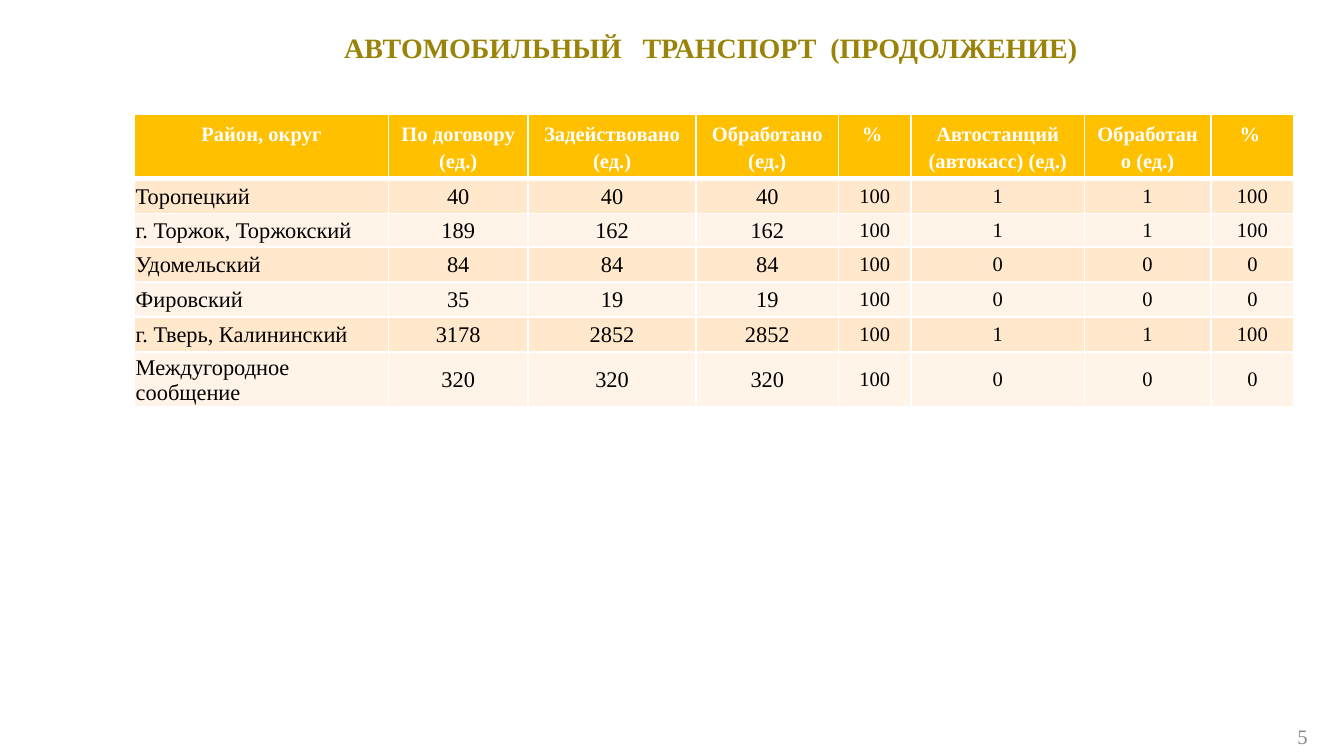
"""Build the slide with the road transport table."""
from lxml.etree import SubElement
from pptx import Presentation
from pptx.dml.color import RGBColor
from pptx.enum.text import MSO_ANCHOR as Anchor, MSO_AUTO_SIZE as Fit, PP_ALIGN as Align
from pptx.oxml.ns import qn
from pptx.util import Inches, Pt

FONT = "Times New Roman"
TITLE = "АВТОМОБИЛЬНЫЙ   ТРАНСПОРТ  (ПРОДОЛЖЕНИЕ)"
HEADS = ["Район, округ", "По договору (ед.)", "Задействовано\n(ед.)", "Обработано\n(ед.)",
         "% ", "Автостанций (автокасс) (ед.)", "Обработано (ед.)", "% "]
ROWS = [
    ("Торопецкий", 40, 40, 40, 100, 1, 1, 100),
    ("г. Торжок, Торжокский", 189, 162, 162, 100, 1, 1, 100),
    ("Удомельский", 84, 84, 84, 100, 0, 0, 0),
    ("Фировский", 35, 19, 19, 100, 0, 0, 0),
    ("г. Тверь, Калининский", 3178, 2852, 2852, 100, 1, 1, 100),
    ("Междугородное сообщение", 320, 320, 320, 100, 0, 0, 0),
]
WIDTHS = [1.89, 1.04, 1.25, 1.06, 0.54, 1.29, 0.94, 0.62]
HEIGHTS = [0.46, 0.26, 0.25, 0.26, 0.26, 0.26, 0.41]
BANDS = ["FFE8CB", "FFF4E7"]
WIDE = (0.07, 0.04, 0.07, 0.04)
TIGHT = (0.01, 0.01, 0.01, 0)


def color(code):
    return RGBColor.from_string(code)


def write(box, text, size=11, ink="000000", bold=False, align=Align.CENTER,
          anchor=Anchor.MIDDLE, pad=WIDE, line=None):
    frame = box.text_frame
    frame.text = text
    holder = box if hasattr(box, "margin_left") else frame
    holder.vertical_anchor = anchor
    holder.margin_left, holder.margin_top, holder.margin_right, holder.margin_bottom = map(Inches, pad)
    for para in frame.paragraphs:
        para.alignment = align
        if line:
            para.line_spacing = Pt(line)
        for run in para.runs:
            font = run.font
            font.name, font.size, font.bold = FONT, Pt(size), bold
            font.color.rgb = color(ink)


def place(box, *spot):
    box.left, box.top, box.width, box.height = map(Inches, spot)


def style(cell, code, top=1, bottom=1):
    props = cell._tc.get_or_add_tcPr()
    for side, width in (("L", 1), ("R", 1), ("T", top), ("B", bottom)):
        edge = SubElement(props, qn("a:ln" + side), w=str(Pt(width)))
        SubElement(SubElement(edge, qn("a:solidFill")), qn("a:srgbClr"), val="FFFFFF")
    cell.fill.solid()
    cell.fill.fore_color.rgb = color(code)


def add_grid(slide):
    grid = slide.shapes.add_table(len(HEIGHTS), len(WIDTHS), Inches(1), Inches(0.85),
                                  Inches(sum(WIDTHS)), Inches(sum(HEIGHTS))).table
    for col, width in zip(grid.columns, WIDTHS):
        col.width = Inches(width)
    for row, height in zip(grid.rows, HEIGHTS):
        row.height = Inches(height)
    for c, head in enumerate(HEADS):
        cell = grid.cell(0, c)
        style(cell, "FFC000", bottom=3)
        write(cell, head, ink="FFFFFF", bold=True, anchor=Anchor.TOP, line=14.4)
    for r, row in enumerate(ROWS):
        for c, value in enumerate(row):
            cell = grid.cell(r + 1, c)
            style(cell, BANDS[r % 2], top=1 if r else 3)
            write(cell, str(value), size=12 if c < 4 else 11, pad=TIGHT if c < 4 else WIDE,
                  align=Align.CENTER if c else Align.LEFT)


def main():
    deck = Presentation()
    deck.slide_width = Inches(10)
    deck.slide_height = deck.slide_width * 9 // 16
    slide = deck.slides.add_slide(deck.slide_layouts[5])
    title = slide.shapes.title
    place(title, 1.31, 0.19, 7.96, 0.64)
    write(title, TITLE, size=15, ink="998308", bold=True, anchor=Anchor.TOP)
    title.text_frame.auto_size = Fit.NONE
    add_grid(slide)
    number = slide.shapes.add_textbox(0, 0, 0, 0)
    place(number, 7.55, 5.33, 2.25, 0.3)
    number.text_frame.word_wrap = True
    write(number, "5", ink="898989", align=Align.RIGHT)
    deck.save("out.pptx")


if __name__ == "__main__":
    main()
